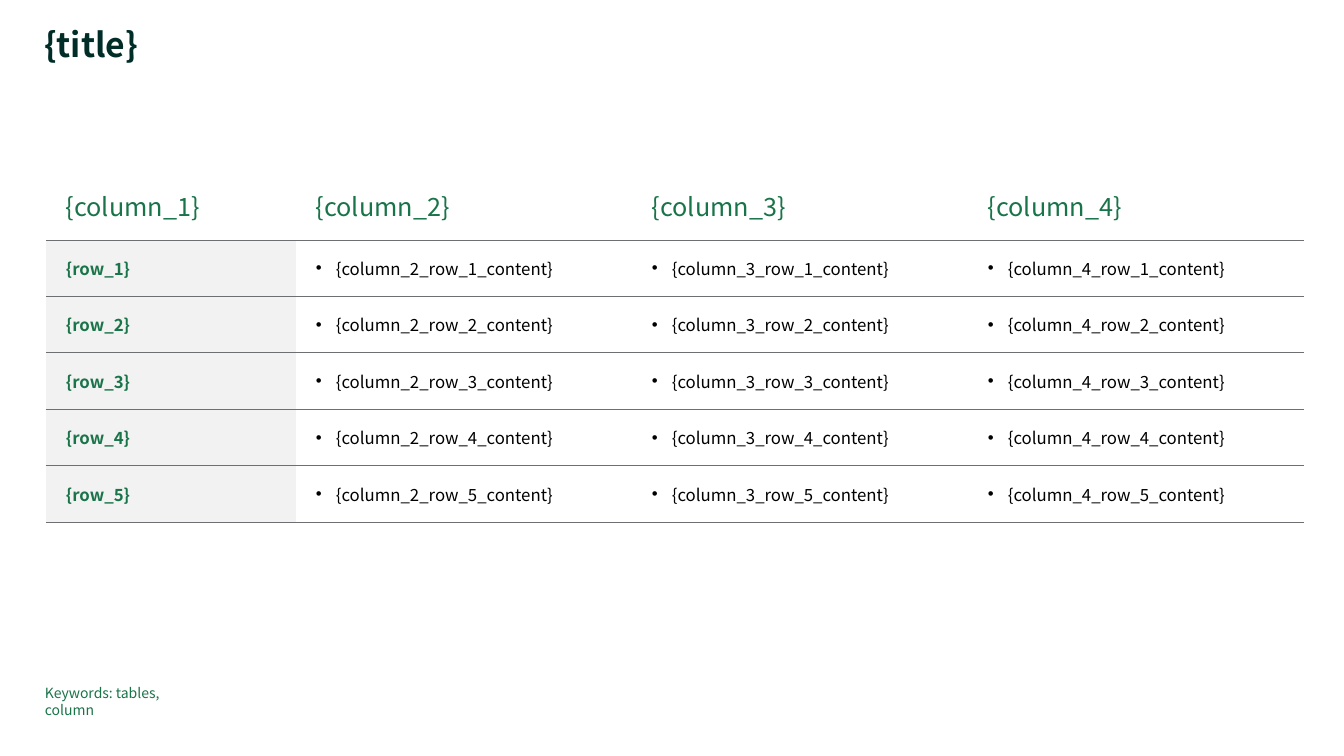
from pptx import Presentation
from pptx.dml.color import RGBColor
from pptx.enum.text import MSO_ANCHOR as Anchor
from pptx.oxml.ns import qn
from pptx.util import Emu, Pt
from lxml.etree import SubElement as add_sub

FONT = "Noto Sans CJK JP"
GREEN, DARK, BLACK = "1A7449", "002D28", "000000"
RULE, SHADE = "6E6F73", "F2F2F2"
WIDTHS = [250, 336, 336, 336]
HEAD, ROW, ROWS = 69, 56, 5


def px(num):
    return Emu(round(num * 914400 / 100.8))


def color(code):
    return RGBColor.from_string(code)


def style(para, size, code, bold=False):
    for run in para.runs:
        font = run.font
        font.name, font.size, font.bold = FONT, Pt(size), bold
        font.color.rgb = color(code)


def place(shape, left, top, width, height):
    shape.left, shape.top = px(left), px(top)
    shape.width, shape.height = px(width), px(height)
    frame = shape.text_frame
    frame.margin_left = frame.margin_right = 0
    frame.margin_top = frame.margin_bottom = 0
    frame.word_wrap = True
    return frame


def add_title(slide, text):
    frame = place(slide.shapes.title, 44, 28, 1112, 37)
    frame.vertical_anchor = Anchor.MIDDLE
    frame.text = text
    para = frame.paragraphs[0]
    para.line_spacing = 0.9
    para.alignment = 1
    style(para, 24, DARK, True)


def add_note(slide, text):
    box = slide.shapes.add_textbox(0, 0, 0, 0)
    frame = place(box, 45, 685, 160, 34)
    frame.text = text
    para = frame.paragraphs[0]
    para.line_spacing = Pt(12)
    style(para, 10, GREEN)


def add_edge(props, side, code=None):
    line = add_sub(props, qn("a:" + side), w=str(Pt(0.5) if code else 0))
    if code:
        fill = add_sub(line, qn("a:solidFill"))
        add_sub(fill, qn("a:srgbClr"), val=code)
    else:
        add_sub(line, qn("a:noFill"))


def add_bullet(para):
    props = para._p.get_or_add_pPr()
    props.set("marL", str(px(20)))
    props.set("indent", str(-px(20)))
    add_sub(props, qn("a:buFont"), typeface="Arial")
    add_sub(props, qn("a:buChar"), char="•")


def fill_cell(cell, row, col):
    props = cell._tc.get_or_add_tcPr()
    add_edge(props, "lnL")
    add_edge(props, "lnR")
    add_edge(props, "lnT", RULE if row else None)
    add_edge(props, "lnB", RULE)
    cell.margin_left = cell.margin_right = px(20)
    cell.margin_top = cell.margin_bottom = px(16)
    cell.vertical_anchor = Anchor.MIDDLE
    cell.fill.background()
    para = cell.text_frame.paragraphs[0]
    if row == 0:
        para.text = f"{{column_{col + 1}}}"
        style(para, 18, GREEN)
    elif col == 0:
        cell.fill.solid()
        cell.fill.fore_color.rgb = color(SHADE)
        para.text = f"{{row_{row}}}"
        style(para, 12, GREEN, True)
    else:
        para.text = f"{{column_{col + 1}_row_{row}_content}}"
        add_bullet(para)
        style(para, 12, BLACK)


def add_grid(slide):
    high = HEAD + ROW * ROWS
    frame = slide.shapes.add_table(
        ROWS + 1, len(WIDTHS), px(46), px(171), px(sum(WIDTHS)), px(high))
    table = frame.table
    table.horz_banding = False
    for col, width in enumerate(WIDTHS):
        table.columns[col].width = px(width)
    for row in range(ROWS + 1):
        table.rows[row].height = px(ROW if row else HEAD)
        for col in range(len(WIDTHS)):
            fill_cell(table.cell(row, col), row, col)


def main():
    deck = Presentation()
    deck.slide_width, deck.slide_height = px(1344), px(756)
    slide = deck.slides.add_slide(deck.slide_layouts[5])
    add_title(slide, "{title}")
    add_grid(slide)
    add_note(slide, "Keywords: tables, column")
    deck.save("out.pptx")


if __name__ == "__main__":
    main()
